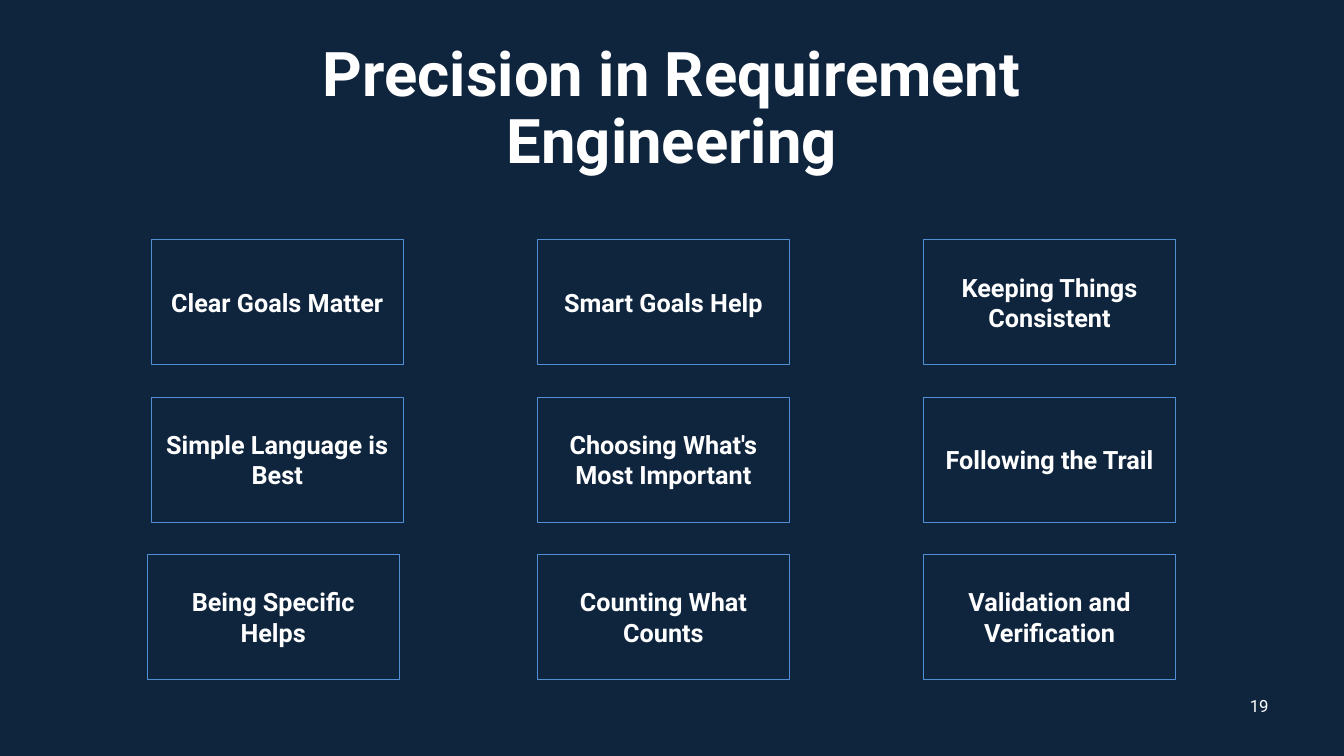
from pptx import Presentation
from pptx.dml.color import RGBColor
from pptx.enum.shapes import MSO_SHAPE
from pptx.enum.text import MSO_ANCHOR, PP_ALIGN
from pptx.util import Inches, Pt

RECT = MSO_SHAPE.RECTANGLE
MIDDLE = MSO_ANCHOR.MIDDLE
CENTER = PP_ALIGN.CENTER

NAVY, BLUE, WHITE = "0F253E", "518FD5", "FFFFFF"
FONT = "Roboto"

# Cards by column, each read from top to bottom
CARD_COLUMNS = [
    ["Clear Goals Matter", "Simple Language is Best", "Being Specific Helps"],
    ["Smart Goals Help", "Choosing What's Most Important", "Counting What Counts"],
    ["Keeping Things Consistent", "Following the Trail", "Validation and Verification"],
]
CARD_W, CARD_H = 2.5, 1.24
COLUMN_STEP, ROW_STEP = 3.83, 1.56
NUDGES = {(0, 2): -0.04}  # (column, row): shift to the side


def rgb(color):
    return RGBColor.from_string(color)


def write(sp, text, size=18, bold=False, color=WHITE, spacing=None):
    tf = sp.text_frame
    tf.word_wrap = True
    tf.vertical_anchor = MIDDLE
    p = tf.paragraphs[0]
    p.alignment = CENTER
    if spacing:
        p.line_spacing = spacing
    r = p.add_run()
    r.text = text
    r.font.name = FONT
    r.font.size = Pt(size)
    r.font.bold = bold
    r.font.color.rgb = rgb(color)


def add_label(slide, box, text, **fmt):
    sp = slide.shapes.add_textbox(*map(Inches, box))
    write(sp, text, **fmt)


def add_card(slide, box, text):
    sp = slide.shapes.add_shape(RECT, *map(Inches, box))
    sp.shadow.inherit = False
    sp.fill.background()
    sp.line.color.rgb = rgb(BLUE)
    sp.line.width = Pt(0.75)
    write(sp, text, bold=True)


def add_card_grid(slide, left, top):
    for col, texts in enumerate(CARD_COLUMNS):
        for row, text in enumerate(texts):
            x = left + col * COLUMN_STEP + NUDGES.get((col, row), 0)
            y = top + row * ROW_STEP
            add_card(slide, (x, y, CARD_W, CARD_H), text)


def main():
    prs = Presentation()
    prs.slide_width, prs.slide_height = Inches(13.33), Inches(7.5)
    slide = prs.slides.add_slide(prs.slide_layouts[6])
    slide.background.fill.solid()
    slide.background.fill.fore_color.rgb = rgb(NAVY)

    # Title
    add_label(slide, (2.17, 0.39, 8.99, 1.4), "Precision in Requirement Engineering",
              size=44, bold=True, spacing=0.9)
    # Nine cards
    add_card_grid(slide, left=1.5, top=2.38)
    # Page number
    add_label(slide, (12.24, 6.8, 0.5, 0.4), "19", size=12)

    prs.save("out.pptx")


if __name__ == "__main__":
    main()
